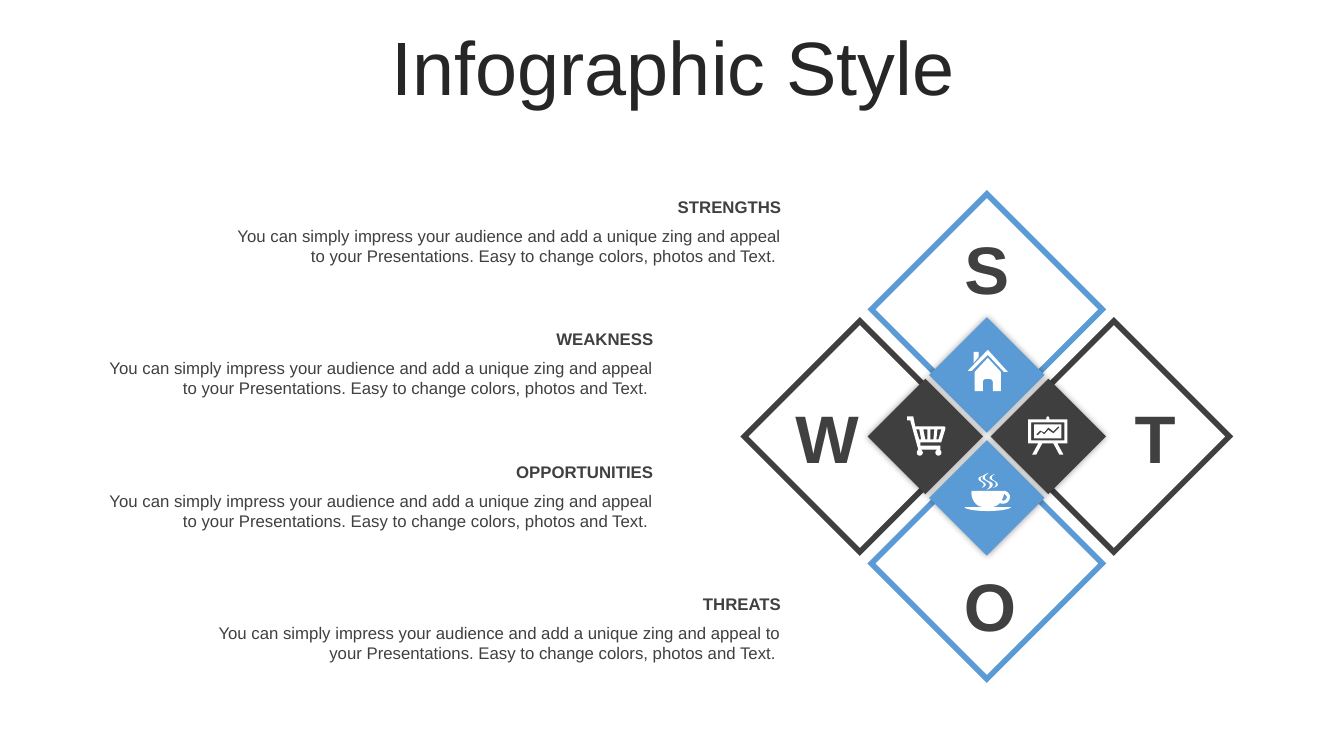
import math
from dataclasses import dataclass

import lxml.etree
import pptx
import pptx.dml.color
import pptx.enum.shapes
import pptx.enum.text
import pptx.oxml.ns
import pptx.shapes.autoshape
import pptx.slide
import pptx.text.text
import pptx.util

COLS, ROWS = 40, 22.5
CELL = pptx.util.Inches(13.3333) // COLS
TICK = 0.03
MID_X, MID_Y = 29.37, 12.99
BIG, SMALL = 4.86, 2.43
BIG_STEP, SMALL_STEP, SIGN_STEP = 3.78, 1.83, 5.01
FIRST_ROW, ROW_STEP, BODY_DROP = 5.7, 3.94, 0.87
COLORS = {"blue": "5B9BD5", "dark": "3F3F3F", "text": "404040",
          "title": "262626", "white": "FFFFFF", "shade": "000000"}
BLURB = ("You can simply impress your audience and add a unique zing and appeal "
         "to your Presentations. Easy to change colors, photos and Text. ")
ALIGN = pptx.enum.text.PP_ALIGN
ANCHOR = pptx.enum.text.MSO_ANCHOR
Trail = list[tuple[float, ...]]


def wheel(x: float, y: float, r: float) -> Trail:
    turns = [math.tau * i / 24 for i in range(24)]
    return [(x + r * math.cos(t), y + r * math.sin(t)) for t in turns]


def box(x: float, y: float, right: float, low: float) -> Trail:
    return [(x, y), (right, y), (right, low), (x, low)]


HOUSE: list[Trail] = [
    [(20, 8), (33, 22), (33, 41), (25, 41), (25, 32), (25, 31, 24, 29, 22, 29),
     (18, 29), (16, 29, 15, 31, 15, 32), (15, 41), (7, 41), (7, 22)],
    [(6, 2), (11, 2), (11, 7), (6, 13)],
    [(20, 0), (40, 22), (36, 22), (20, 5), (4, 21), (0, 21)],
]
CART: list[Trail] = [
    [(6, 0), (8, 10), (36, 10), (38, 10, 38, 11, 38, 12), (34, 25),
     (34, 26, 33, 26, 32, 26), (13, 26), (13, 29), (33, 29), (33, 33),
     (11, 33), (3, 4), (0, 4), (0, 0)],
    [(30, 13), (29, 23), (31, 23), (34, 13)],
    [(23, 13), (23, 23), (26, 23), (27, 13)],
    [(16, 13), (18, 23), (20, 23), (20, 13)],
    [(9, 13), (12, 23), (14, 23), (12, 13)],
    wheel(12.5, 36, 3), wheel(31, 36, 3),
]
BOARD: list[Trail] = [
    [(18, 3), (18, 2), (18, 1, 19, 0, 19.5, 0), (20, 0, 21, 1, 21, 2), (21, 3),
     (39, 3), (39, 27), (29, 27), (35, 38), (31, 38), (25, 27), (14, 27),
     (8, 38), (4, 38), (10, 27), (0, 27), (0, 3)],
    box(3, 6, 36, 24), box(6, 8, 33, 22),
    [(30, 10), (25, 15), (20, 11), (16, 16), (12, 14), (8, 18), (9.5, 19),
     (13, 15.5), (16, 18), (20, 13.5), (25, 17), (31, 11)],
]
CUP: list[Trail] = [
    [(7, 18), (39, 18), (42, 18, 44, 20, 45, 23), (45, 26, 44, 29, 41, 30),
     (39, 31, 37, 31, 35, 30), (34, 31, 33, 32, 31, 33), (28, 34), (46, 34),
     (46, 36, 35, 38, 23, 38), (10, 38, 0, 36, 0, 34), (18, 34), (14, 33),
     (9, 30, 6, 24, 7, 18)],
    [(39, 21), (39, 23, 38, 25, 37, 27), (38, 28, 39, 28, 40, 27),
     (41, 27, 42, 25, 42, 24), (41, 22, 40, 21, 39, 21)],
    [(18, 3), (17, 4, 15, 5, 16, 6), (16, 9, 21, 9, 21, 12), (20, 14, 19, 14, 17, 15),
     (18, 14, 19, 13, 19, 12), (19, 9, 15, 9, 14, 7), (13, 5, 15, 4, 18, 3)],
    [(30, 1), (28, 3, 27, 3, 27, 5), (27, 8, 33, 8, 33, 12), (32, 14, 31, 14, 28, 15),
     (30, 14, 31, 13, 31, 11), (31, 8, 27, 8, 25, 6), (24, 4, 26, 3, 30, 1)],
    [(24, 0), (22, 2, 20, 2, 20, 5), (21, 9, 28, 8, 28, 12), (27, 15, 26, 15, 22, 17),
     (24, 15, 25, 14, 25, 12), (25, 9, 20, 8, 18, 6), (17, 3, 19, 2, 24, 0)],
]


@dataclass(frozen=True)
class Part:
    sign: str
    head: str
    hue: str
    dx: int
    dy: int
    right: float
    width: float
    icon: list[Trail]
    icon_x: float
    icon_y: float


PARTS = [
    Part("S", "STRENGTHS", "blue", 0, -1, 23.55, 17.22, HOUSE, 28.8, 10.41),
    Part("W", "WEAKNESS", "dark", -1, 0, 19.74, 17.22, CART, 27, 12.39),
    Part("O", "OPPORTUNITIES", "blue", 0, 1, 19.74, 17.22, CUP, 28.71, 14.07),
    Part("T", "THREATS", "dark", 1, 0, 23.54, 17.35, BOARD, 30.6, 12.39),
]


def rgb(hue: str) -> pptx.dml.color.RGBColor:
    return pptx.dml.color.RGBColor.from_string(COLORS[hue])


def grid(*cells: float) -> list[int]:
    return [round(cell * CELL) for cell in cells]


def add_tag(root: lxml.etree._Element, name: str, **keys: str) -> lxml.etree._Element:
    return lxml.etree.SubElement(root, pptx.oxml.ns.qn(name), keys)


def style(line: pptx.text.text._Paragraph, size: int, hue: str, bold: bool, align: ALIGN) -> None:
    line.alignment = align
    line.font.name = "Arial"
    line.font.size = pptx.util.Pt(size)
    line.font.bold = bold
    line.font.color.rgb = rgb(hue)


def add_text(slide: pptx.slide.Slide, text: str, place: list[int], size: int,
             bold: bool, align: ALIGN, anchor: ANCHOR = ANCHOR.TOP) -> None:
    frame = slide.shapes.add_textbox(*place).text_frame
    frame.word_wrap = True
    frame.vertical_anchor = anchor
    frame.text = text
    style(frame.paragraphs[0], size, "text", bold, align)


def add_tile(slide: pptx.slide.Slide, part: Part, side: float,
             step: float) -> pptx.shapes.autoshape.Shape:
    place = grid(MID_X + part.dx * step - side / 2, MID_Y + part.dy * step - side / 2, side, side)
    tile = slide.shapes.add_shape(pptx.enum.shapes.MSO_SHAPE.RECTANGLE, *place)
    tile.rotation = 45
    tile.shadow.inherit = False
    return tile


def add_frame(slide: pptx.slide.Slide, part: Part) -> None:
    tile = add_tile(slide, part, BIG, BIG_STEP)
    tile.fill.background()
    tile.line.color.rgb = rgb(part.hue)
    tile.line.width = pptx.util.Pt(4)
    add_tag(tile.line._get_or_add_ln(), "a:miter", lim="800000")


def add_core(slide: pptx.slide.Slide, part: Part) -> None:
    tile = add_tile(slide, part, SMALL, SMALL_STEP)
    tile.fill.solid()
    tile.fill.fore_color.rgb = rgb(part.hue)
    tile.line.fill.background()
    glow = tile._element.spPr.find(pptx.oxml.ns.qn("a:effectLst"))
    shade = add_tag(glow, "a:outerShdw", blurRad=str(pptx.util.Pt(5)), dist="0",
                    dir="0", algn="ctr", rotWithShape="0")
    tint = add_tag(shade, "a:srgbClr", val=COLORS["shade"])
    add_tag(tint, "a:alpha", val="40000")


def flatten(trail: Trail) -> list[tuple[float, float]]:
    dots: list[tuple[float, float]] = []
    for knot in trail:
        if len(knot) == 2:
            dots.append((knot[0], knot[1]))
            continue
        poles = [dots[-1], knot[:2], knot[2:4], knot[4:]]
        for t in (i / 8 for i in range(1, 9)):
            parts = [math.comb(3, i) * t**i * (1 - t) ** (3 - i) for i in range(4)]
            dots.append((sum(w * p[0] for w, p in zip(parts, poles)),
                         sum(w * p[1] for w, p in zip(parts, poles))))
    return dots


def add_icon(slide: pptx.slide.Slide, part: Part) -> None:
    rings = [[tuple(grid(part.icon_x + x * TICK, part.icon_y + y * TICK))
              for x, y in flatten(trail)] for trail in part.icon]
    pen = slide.shapes.build_freeform(*rings[0][0])
    for ring in rings:
        if ring is not rings[0]:
            pen.move_to(*ring[0])
        pen.add_line_segments(ring[1:], close=True)
    icon = pen.convert_to_shape()
    icon.shadow.inherit = False
    icon.fill.solid()
    icon.fill.fore_color.rgb = rgb("white")
    icon.line.fill.background()


def add_title(slide: pptx.slide.Slide) -> None:
    title = slide.shapes.title
    title.left, title.top, title.width, title.height = grid(1.05, 0.93, 37.98, 2.37)
    frame = title.text_frame
    frame.text = "Infographic Style"
    frame.auto_size = pptx.enum.text.MSO_AUTO_SIZE.NONE
    frame.vertical_anchor = ANCHOR.MIDDLE
    frame.paragraphs[0].line_spacing = 0.9
    style(frame.paragraphs[0], 54, "title", False, ALIGN.CENTER)


def main() -> None:
    deck = pptx.Presentation()
    deck.slide_width, deck.slide_height = grid(COLS, ROWS)
    slide = deck.slides.add_slide(deck.slide_layouts[5])
    add_title(slide)
    for part in PARTS:
        add_frame(slide, part)
    for row, part in enumerate(PARTS):
        add_core(slide, part)
        add_icon(slide, part)
        x, y = MID_X + part.dx * SIGN_STEP, MID_Y + part.dy * SIGN_STEP
        add_text(slide, part.sign, grid(x - 0.98, y - 1.37, 1.96, 2.74), 48, True,
                 ALIGN.CENTER, ANCHOR.MIDDLE)
        left, top = part.right - part.width, FIRST_ROW + row * ROW_STEP
        add_text(slide, part.head, grid(left, top, part.width, 0.93), 12, True, ALIGN.RIGHT)
        add_text(slide, BLURB, grid(left, top + BODY_DROP, part.width, 1.5), 12, False, ALIGN.RIGHT)
    deck.save("out.pptx")


if __name__ == "__main__":
    main()
